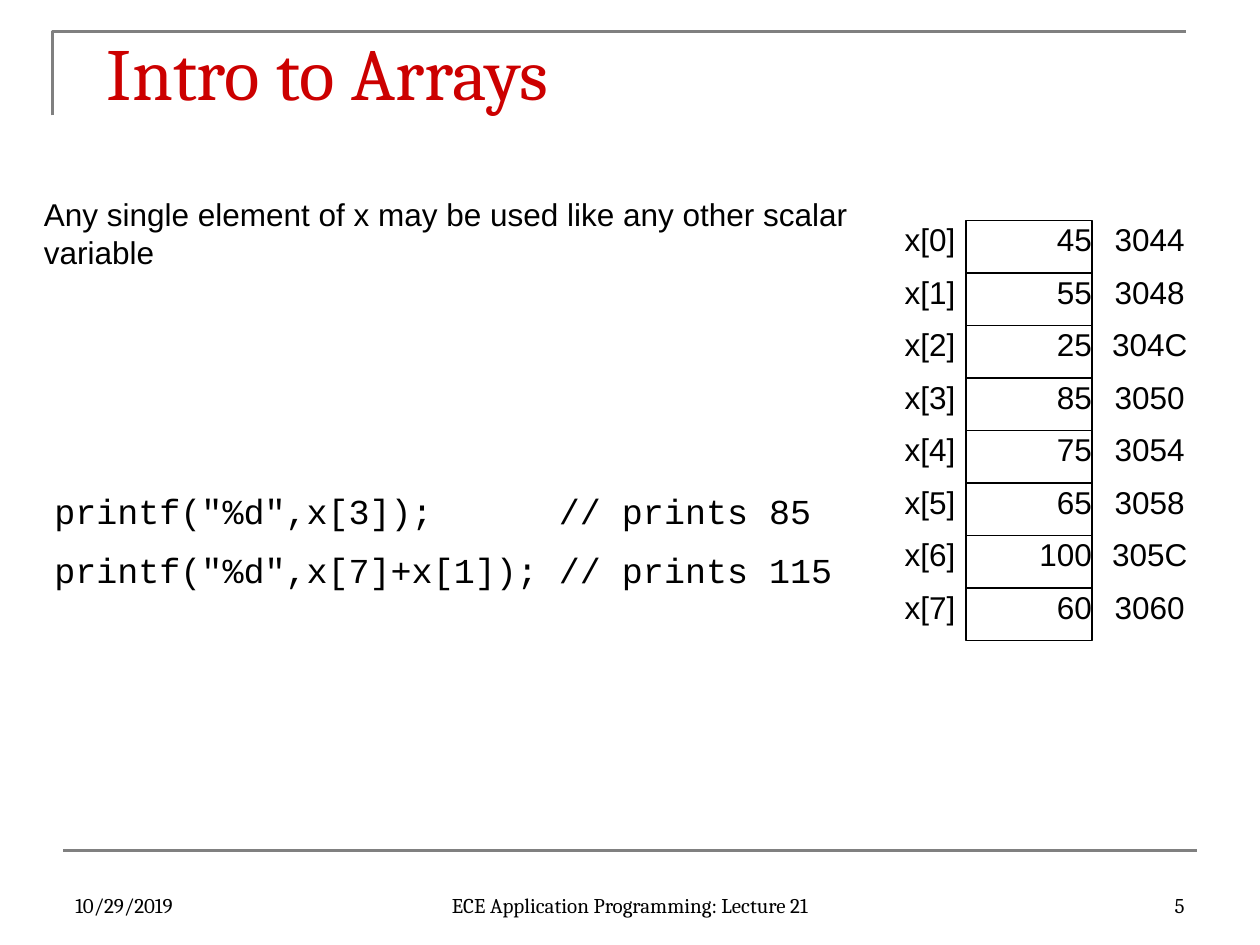
"""Build the "Intro to Arrays" slide on a grid of twelve units to the inch."""
from lxml.etree import SubElement
from pptx import Presentation
from pptx.dml.color import RGBColor
from pptx.enum.shapes import MSO_CONNECTOR, MSO_SHAPE
from pptx.enum.text import MSO_ANCHOR, MSO_AUTO_SIZE, PP_ALIGN
from pptx.oxml.ns import qn
from pptx.util import Inches, Pt

BLACK = RGBColor(0x00, 0x00, 0x00)
GREY = RGBColor(0x80, 0x80, 0x80)
RED = RGBColor(0xCC, 0x00, 0x00)
UNIT = Inches(1) // 12
ROW = 5
ARRAY_TOP = 21


def grid(*units):
    return [round(unit * UNIT) for unit in units]


def write(box, text, size, font, color=BLACK, align=PP_ALIGN.LEFT,
          anchor=MSO_ANCHOR.TOP, spaced=False, inset=True):
    frame = box.text_frame
    frame.text = text
    frame.word_wrap = True
    frame.vertical_anchor = anchor
    if spaced:
        frame.auto_size = MSO_AUTO_SIZE.SHAPE_TO_FIT_TEXT
    if not inset:
        frame.margin_left = frame.margin_right = 0
        frame.margin_top = frame.margin_bottom = 0
    for paragraph in frame.paragraphs:
        paragraph.alignment = align
        if spaced:
            before = SubElement(paragraph._p.get_or_add_pPr(), qn("a:spcBef"))
            SubElement(before, qn("a:spcPct")).set("val", "50000")
        for run in paragraph.runs:
            run.font.name = font
            run.font.size = Pt(size)
            run.font.color.rgb = color


deck = Presentation()
deck.slide_width, deck.slide_height = grid(120, 90)
slide = deck.slides.add_slide(deck.slide_layouts[6])
shapes = slide.shapes

corner_path = shapes.build_freeform(*grid(5, 11))
corner_path.add_line_segments([grid(5, 3), grid(113, 3)], close=False)
corner = corner_path.convert_to_shape()
corner.shadow.inherit = False
corner.fill.background()

footer_rule = shapes.add_connector(MSO_CONNECTOR.STRAIGHT, *grid(6, 81, 114, 81))
SubElement(footer_rule._element.spPr, qn("a:effectLst"))

for rule in (corner, footer_rule):
    rule.line.color.rgb = GREY
    rule.line.width = Pt(1.5)

title = shapes.add_textbox(*grid(9, 2, 102, 7))
write(title, "Intro to Arrays", 42, "Cambria", RED)

elements = [(45, "3044"), (55, "3048"), (25, "304C"), (85, "3050"),
            (75, "3054"), (65, "3058"), (100, "305C"), (60, "3060")]
for index, (value, address) in enumerate(elements):
    top = ARRAY_TOP + index * ROW
    name = shapes.add_textbox(*grid(80, top, 11, ROW))
    cell = shapes.add_shape(MSO_SHAPE.RECTANGLE, *grid(92, top, 12, ROW))
    cell.shadow.inherit = False
    cell.fill.background()
    cell.line.color.rgb = BLACK
    cell.line.width = Pt(0.75)
    location = shapes.add_textbox(*grid(104, top, 11, ROW))
    for part, text, align in ((name, f"x[{index}]", PP_ALIGN.RIGHT),
                              (cell, str(value), PP_ALIGN.RIGHT),
                              (location, address, PP_ALIGN.CENTER)):
        write(part, text, 18, "Arial", align=align, spaced=True, inset=False)

code = shapes.add_textbox(*grid(4, 46, 78, 17))
write(code, 'printf("%d",x[3]);      // prints 85\n'
            'printf("%d",x[7]+x[1]); // prints 115', 20, "Courier New", spaced=True)

statement = shapes.add_textbox(*grid(3, 18, 79, 11))
write(statement, "Any single element of x may be used like any other scalar variable",
      18, "Arial", spaced=True)

for left, width, text, align in (
        (6, 28, "10/29/2019", PP_ALIGN.LEFT),
        (41, 38, "ECE Application Programming: Lecture 21", PP_ALIGN.CENTER),
        (86, 28, "5", PP_ALIGN.RIGHT)):
    footer = shapes.add_textbox(*grid(left, 82, width, 6))
    write(footer, text, 12, "Cambria", align=align, anchor=MSO_ANCHOR.BOTTOM)

deck.save("out.pptx")
